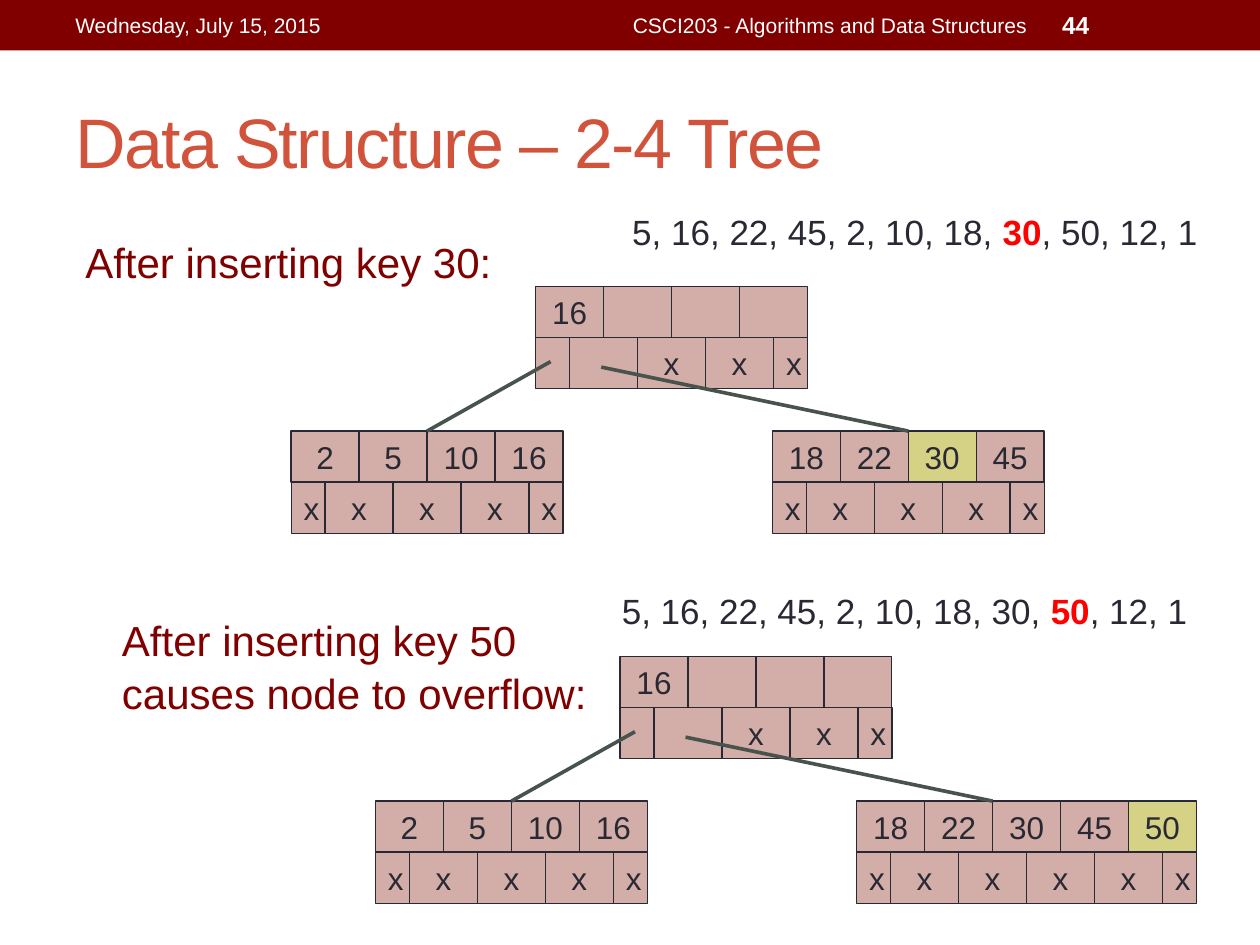
from lxml.etree import SubElement
from pptx import Presentation
from pptx.dml.color import RGBColor
from pptx.enum.shapes import MSO_CONNECTOR as LINE, MSO_SHAPE as SHAPE
from pptx.enum.text import MSO_ANCHOR as ANCHOR, PP_ALIGN as ALIGN
from pptx.oxml.ns import qn
from pptx.util import Cm, Pt

# Content
TITLE = "Data Structure – 2-4 Tree"
HEADER = [  # text, left, width, size, bold, alignment
    ("Wednesday, July 15, 2015", 1.27, 8.05, 12, False, ALIGN.LEFT),
    ("CSCI203 - Algorithms and Data Structures", 9.53, 11.43, 12, False, ALIGN.RIGHT),
    ("44", 21.16, 2.97, 14, True, ALIGN.LEFT),
]
# A node is its keys and its pointers ("x" is a null pointer)
ROOT = (["16", "", "", ""], ["", "", "x", "x", "x"])
LEFT_LEAF = (["2", "5", "10", "16"], ["x"] * 5)
STEPS = [
    dict(label="After inserting key 30:", label_at=(1.47, 4.6), label_h=1.27,
         root_at=(10.8, 5.77), new_key="30",
         right_leaf=(["18", "22", "30", "45"], ["x"] * 5),
         sequence=("5, 16, 22, 45, 2, 10, 18, ", "30", ", 50, 12, 1"),
         sequence_at=(12.12, 4.11)),
    dict(label="After inserting key 50 causes node to overflow:",
         label_at=(2.21, 12.22), label_h=2.31,
         root_at=(12.5, 13.23), new_key="50",
         right_leaf=(["18", "22", "30", "45", "50"], ["x"] * 6),
         sequence=("5, 16, 22, 45, 2, 10, 18, 30, ", "50", ", 12, 1"),
         sequence_at=(11.91, 11.76)),
]

# Style and geometry, in cm
MAROON, ORANGE, INK, WHITE, RED = "800000", "D2533C", "292934", "FFFFFF", "FF0000"
CELL, NEW_CELL, EDGE = "D3AEA8", "D5D286", "47534C"
CELL_W, CELL_H = 1.37, 1.03
LEAF_DX, LEAF_DY = (-4.93, 4.77), 2.92
EDGE_START = [(0.3, 1.52), (1.32, 1.63)]


def rgb(color):
    return RGBColor.from_string(color)


def write(shape, text, *, size=18, color=INK, bold=False, align=ALIGN.CENTER,
          anchor=ANCHOR.MIDDLE, spacing=None):
    """Fill a shape with one paragraph; text is a string or (text, format) runs."""
    tf = shape.text_frame
    tf.word_wrap = True
    tf.vertical_anchor = anchor
    p = tf.paragraphs[0]
    p.alignment = align
    p.line_spacing = spacing
    runs = [(text, {})] if isinstance(text, str) else text
    for words, own in runs:
        r = p.add_run()
        r.text = words
        r.font.name = "Arial"
        r.font.size = Pt(size)
        r.font.bold = own.get("bold", bold)
        r.font.color.rgb = rgb(own.get("color", color))
    return p


def add_box(shapes, x, y, w, h, fill, line=None):
    sp = shapes.add_shape(SHAPE.RECTANGLE, Cm(x), Cm(y), Cm(w), Cm(h))
    sp.shadow.inherit = False
    sp.fill.solid()
    sp.fill.fore_color.rgb = rgb(fill)
    if line:
        sp.line.color.rgb = rgb(line)
        sp.line.width = Pt(0.75)
    else:
        sp.line.fill.background()
    return sp


def add_text(shapes, x, y, w, h, text, **fmt):
    write(shapes.add_textbox(Cm(x), Cm(y), Cm(w), Cm(h)), text, **fmt)


def add_cell(shapes, x, y, w, text, fill=CELL):
    sp = add_box(shapes, x, y, w, CELL_H, fill, INK)
    if text:
        write(sp, text)


def add_node(shapes, x, y, node, new_key=None):
    keys, pointers = node
    for i, key in enumerate(keys):
        add_cell(shapes, x + i * CELL_W, y, CELL_W, key,
                 NEW_CELL if key == new_key else CELL)
    # Pointers sit half a cell off the keys, so the end ones are half as wide
    for i, pointer in enumerate(pointers):
        at_end = i in (0, len(pointers) - 1)
        add_cell(shapes, x + max(0, i - 0.5) * CELL_W, y + CELL_H,
                 CELL_W / 2 if at_end else CELL_W, pointer)


def add_edge(shapes, x1, y1, x2, y2):
    cx = shapes.add_connector(LINE.STRAIGHT, Cm(x1), Cm(y1), Cm(x2), Cm(y2))
    cx.line.color.rgb = rgb(EDGE)
    cx.line.width = Pt(2.08)
    SubElement(cx._element.spPr, qn("a:effectLst"))


def add_step(s, step):
    # Label and tree
    shapes = s.shapes.add_group_shape().shapes
    add_text(shapes, *step["label_at"], 10.39, step["label_h"], step["label"], size=24,
             color=MAROON, align=ALIGN.LEFT, anchor=ANCHOR.TOP, spacing=1.05)
    x, y = step["root_at"]
    add_node(shapes, x, y, ROOT)
    leaves = (LEFT_LEAF, step["right_leaf"])
    for leaf, dx in zip(leaves, LEAF_DX):
        add_node(shapes, x + dx, y + LEAF_DY, leaf, step["new_key"])
    for (start_x, start_y), dx in zip(EDGE_START, LEAF_DX):
        add_edge(shapes, x + start_x, y + start_y, x + dx + 2 * CELL_W, y + LEAF_DY)

    # Key sequence with the new key picked out
    before, key, after = step["sequence"]
    sp = add_box(s.shapes, *step["sequence_at"], 12.65, 1.11, WHITE)
    write(sp, [(before, {}), (key, dict(color=RED, bold=True)), (after, {})], size=20)


def main():
    prs = Presentation()
    prs.slide_width, prs.slide_height = Cm(25.4), Cm(19.05)
    s = prs.slides.add_slide(prs.slide_layouts[5])

    # Header bar
    add_box(s.shapes, 0, 0, 25.4, 1.02, MAROON)
    for text, x, w, size, bold, align in HEADER:
        add_text(s.shapes, x, 0.05, w, 0.91, text, size=size, bold=bold,
                 color=WHITE, align=align)

    # Title
    title = s.shapes.title
    title.left, title.top, title.width, title.height = Cm(1.27), Cm(1.47), Cm(22.86), Cm(2.74)
    p = write(title, TITLE, size=40, color=ORANGE, align=ALIGN.LEFT)
    p.runs[0].font._element.set("spc", "-100")

    # Insertion steps
    for step in STEPS:
        add_step(s, step)

    prs.save("out.pptx")


if __name__ == "__main__":
    main()
